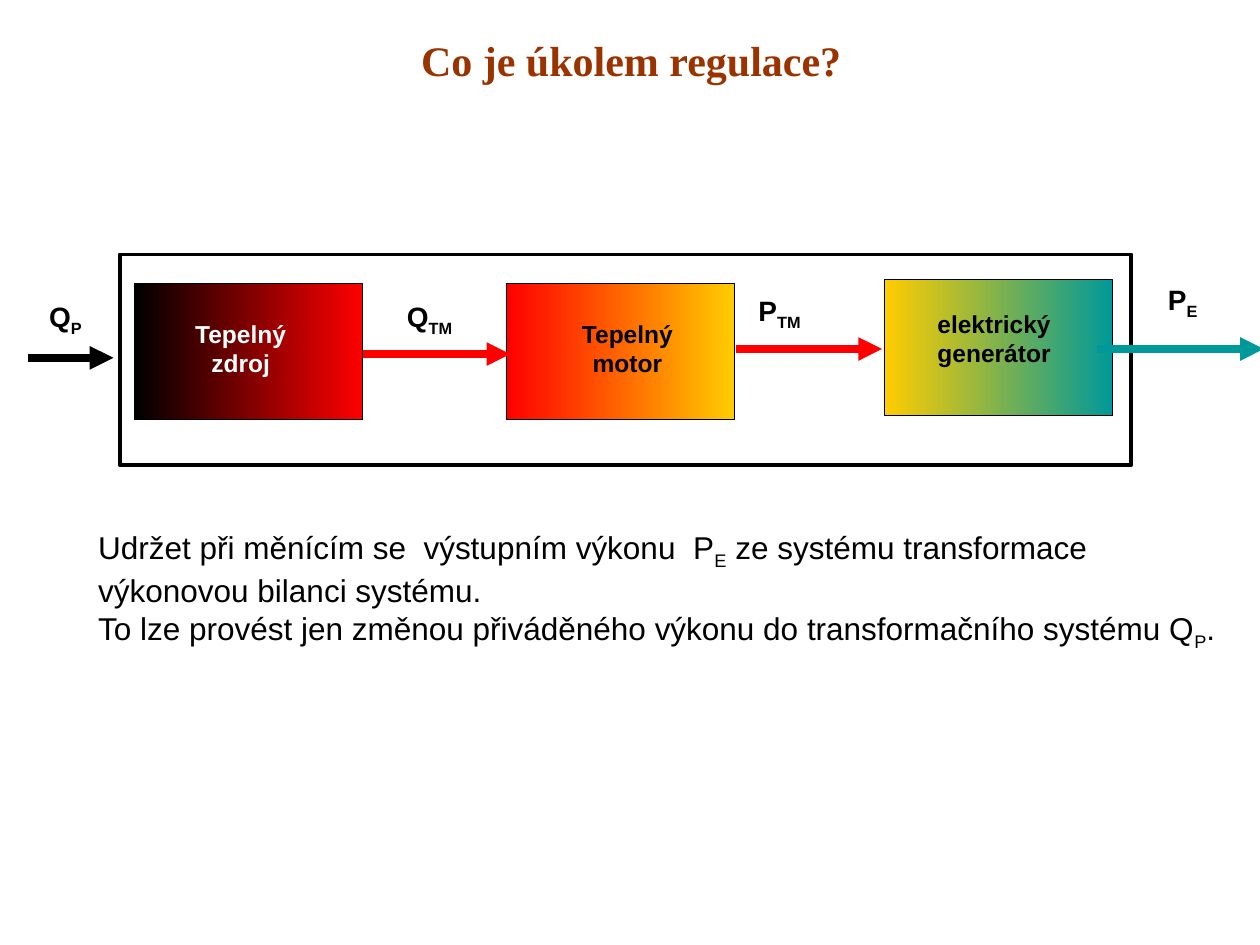
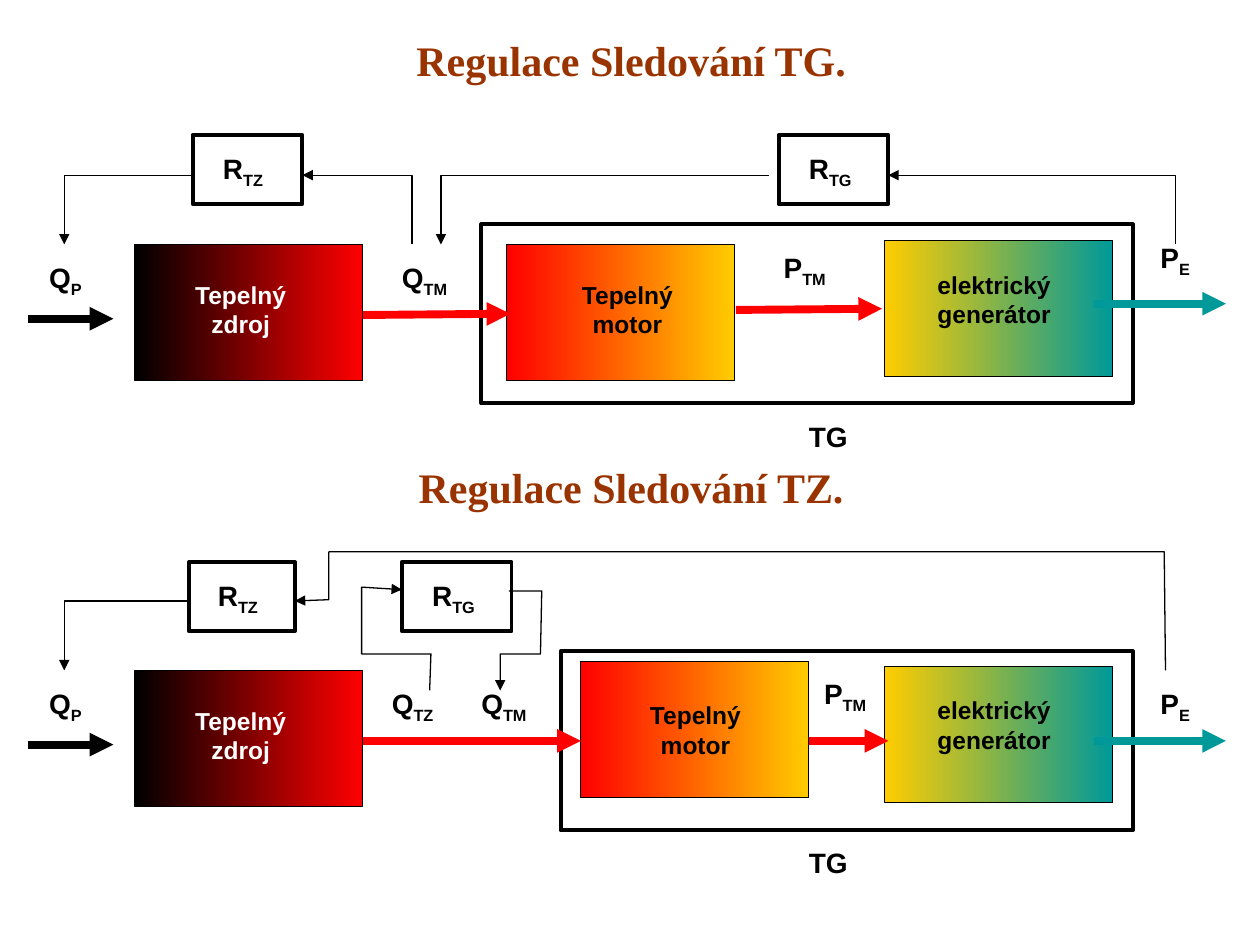
"""Build two slides on the control of a heat source and a turbine generator."""
from dataclasses import dataclass

from lxml.etree import SubElement
from pptx import Presentation
from pptx.dml.color import RGBColor
from pptx.enum.shapes import MSO_CONNECTOR, MSO_SHAPE
from pptx.enum.text import MSO_ANCHOR as Anchor, PP_ALIGN as Align
from pptx.oxml.ns import qn
from pptx.util import Inches, Pt


@dataclass(frozen=True)
class Style:
    size: int
    bold: bool = True
    font: str = "Arial"
    color: str = "000000"
    align: Align = Align.LEFT
    anchor: Anchor = Anchor.TOP


@dataclass(frozen=True)
class Theme:
    black: str = "000000"
    white: str = "FFFFFF"
    red: str = "FF0000"
    yellow: str = "FFCC00"
    teal: str = "009999"
    thin: float = 0.75
    frame: float = 2.25
    thick: float = 4.5
    title: Style = Style(24, font="Times New Roman", color="993300",
                         align=Align.CENTER, anchor=Anchor.MIDDLE)
    label: Style = Style(16)
    body: Style = Style(18, bold=False)
    block: Style = Style(14, align=Align.CENTER)
    dark_block: Style = Style(14, color="FFFFFF", align=Align.CENTER)


theme = Theme()


def write(shape, left, top, width, height, lines, style):
    """Place a text shape and fill it; bars enclose subscripts."""
    shape.left, shape.top = Inches(left), Inches(top)
    shape.width, shape.height = Inches(width), Inches(height)
    frame = shape.text_frame
    frame.word_wrap = True
    frame.vertical_anchor = style.anchor
    frame.margin_left = frame.margin_right = 0
    frame.margin_top = frame.margin_bottom = 0
    for index, line in enumerate(lines):
        para = frame.paragraphs[0] if index == 0 else frame.add_paragraph()
        para.alignment = style.align
        for position, words in enumerate(line.split("|")):
            span = para.add_run()
            span.text = words
            span.font.name = style.font
            span.font.size = Pt(style.size)
            span.font.bold = style.bold
            span.font.color.rgb = RGBColor.from_string(style.color)
            if position % 2:
                span.font._element.set("baseline", "-25000")


def draw_arrow(page, points, color, weight):
    """Draw a straight or bent line with an arrowhead at its last point."""
    corners = [(Inches(x), Inches(y)) for x, y in points]
    if len(corners) == 2:
        arrow = page.shapes.add_connector(MSO_CONNECTOR.STRAIGHT, *corners[0], *corners[1])
    else:
        outline = page.shapes.build_freeform(*corners[0])
        outline.add_line_segments(corners[1:], close=False)
        arrow = outline.convert_to_shape()
        arrow.fill.background()
    arrow.line.color.rgb = RGBColor.from_string(color)
    arrow.line.width = Pt(weight)
    SubElement(arrow.line._get_or_add_ln(), qn("a:tailEnd"), type="triangle")
    SubElement(arrow._element.spPr, qn("a:effectLst"))


deck = Presentation()
deck.slide_width, deck.slide_height = Inches(10), Inches(7.5)

pages = []
for heading in ["Co je úkolem regulace?", "Regulace Sledování TG."]:
    page = deck.slides.add_slide(deck.slide_layouts[5])
    write(page.shapes.title, 0.51, 0, 9, 0.94, [heading], theme.title)
    pages.append(page)
task_page, control_page = pages

write(control_page.shapes.add_textbox(0, 0, 0, 0), 0.51, 3.59, 9, 0.55,
      ["Regulace Sledování TZ."], theme.title)

chains = [
    {
        "page": task_page, "top": 2.25, "motor": (4.02, 2.25), "caption": (0.96, 0.28),
        "boxes": [(0.95, 2.02, 8.03, 1.67)],
        "flows": [(2.88, 2.81, 4.05, 2.81), (5.84, 2.77, 7, 2.77), (8.71, 2.77, 10.03, 2.77)],
        "labels": [("Q|TM", 3.23, 2.38), ("P|TM", 6.02, 2.33), ("P|E", 9.27, 2.24)],
        "signals": [],
    },
    {
        "page": control_page, "top": 1.94, "motor": (4.02, 1.94), "caption": (0.96, 0.28),
        "boxes": [(3.82, 1.78, 5.17, 1.42), (1.53, 1.07, 0.87, 0.55), (6.18, 1.07, 0.87, 0.55)],
        "flows": [(2.88, 2.5, 4.05, 2.49), (5.84, 2.46, 7, 2.45), (8.68, 2.41, 9.73, 2.41)],
        "labels": [("Q|TM", 3.19, 2.07), ("P|TM", 6.22, 1.99), ("P|E", 9.21, 1.91),
                   ("R|TZ", 1.77, 1.2), ("R|TG", 6.42, 1.2), ("TG", 6.42, 3.33)],
        "signals": [
            [(9.33, 1.94), (9.33, 1.39), (7.05, 1.39)],
            [(6.1, 1.39), (3.5, 1.39), (3.5, 1.94)],
            [(3.27, 1.94), (3.27, 1.39), (2.4, 1.39)],
            [(1.53, 1.39), (0.51, 1.39), (0.51, 1.94)],
        ],
    },
    {
        "page": control_page, "top": 5.32, "motor": (4.61, 5.25), "caption": (0.91, 0.31),
        "boxes": [(4.45, 5.17, 4.54, 1.42), (1.5, 4.46, 0.84, 0.55), (3.19, 4.46, 0.87, 0.55)],
        "flows": [(2.88, 5.88, 4.61, 5.88), (6.42, 5.88, 7.05, 5.88), (8.68, 5.88, 9.73, 5.88)],
        "labels": [("Q|TZ", 3.11, 5.45), ("Q|TM", 3.82, 5.45), ("P|TM", 6.54, 5.37),
                   ("P|E", 9.21, 5.45), ("R|TZ", 1.73, 4.59), ("R|TG", 3.43, 4.59),
                   ("TG", 6.42, 6.71)],
        "signals": [
            [(9.25, 5.32), (9.24, 4.38), (2.61, 4.38), (2.61, 4.76), (2.34, 4.77)],
            [(1.5, 4.77), (0.51, 4.77), (0.51, 5.32)],
            [(3.41, 5.48), (3.42, 5.19), (2.87, 5.19), (2.87, 4.66), (3.19, 4.68)],
            [(4.04, 4.69), (4.3, 4.69), (4.29, 5.19), (3.97, 5.19), (3.97, 5.48)],
        ],
    },
]

for chain in chains:
    page, top = chain["page"], chain["top"]
    blocks = [
        ((1.07, top), (0.84, 0.28), ["Tepelný", "zdroj"],
         (theme.black, theme.red), theme.dark_block),
        (chain["motor"], chain["caption"], ["Tepelný", "motor"],
         (theme.red, theme.yellow), theme.block),
        ((7.02, top - 0.03), (0.87, 0.23), ["elektrický", "generátor"],
         (theme.yellow, theme.teal), theme.block),
    ]
    for (left, block_top), (center, drop), caption, colors, style in blocks:
        block = page.shapes.add_shape(MSO_SHAPE.RECTANGLE, Inches(left), Inches(block_top),
                                      Inches(1.81), Inches(1.08))
        block.shadow.inherit = False
        block.fill.gradient()
        block.fill.gradient_angle = 0
        for stop, color in zip(block.fill.gradient_stops, colors):
            stop.color.rgb = RGBColor.from_string(color)
        block.line.color.rgb = RGBColor.from_string(theme.black)
        block.line.width = Pt(theme.thin)
        write(page.shapes.add_textbox(0, 0, 0, 0), left + center - 0.6, block_top + drop,
              1.2, 0.47, caption, style)

    for bounds in chain["boxes"]:
        box = page.shapes.add_shape(MSO_SHAPE.RECTANGLE, *map(Inches, bounds))
        box.shadow.inherit = False
        box.fill.background()
        box.line.color.rgb = RGBColor.from_string(theme.black)
        box.line.width = Pt(theme.frame)

    flows = [(0.22, top + 0.59, 0.9, top + 0.59), *chain["flows"]]
    flow_colors = [theme.black, theme.red, theme.red, theme.teal]
    for (start_x, start_y, end_x, end_y), color in zip(flows, flow_colors):
        draw_arrow(page, [(start_x, start_y), (end_x, end_y)], color, theme.thick)

    for signal in chain["signals"]:
        draw_arrow(page, signal, theme.black, theme.thin)

    for words, left, label_top in [("Q|P", 0.39, top + 0.13), *chain["labels"]]:
        write(page.shapes.add_textbox(0, 0, 0, 0), left, label_top, 0.6, 0.31,
              [words], theme.label)

write(task_page.shapes.add_textbox(0, 0, 0, 0), 0.78, 4.19, 9, 0.98, [
    "Udržet při měnícím se  výstupním výkonu  P|E| ze systému transformace",
    "výkonovou bilanci systému.",
    "To lze provést jen změnou přiváděného výkonu do transformačního systému Q|P|.",
], theme.body)

deck.save("out.pptx")
